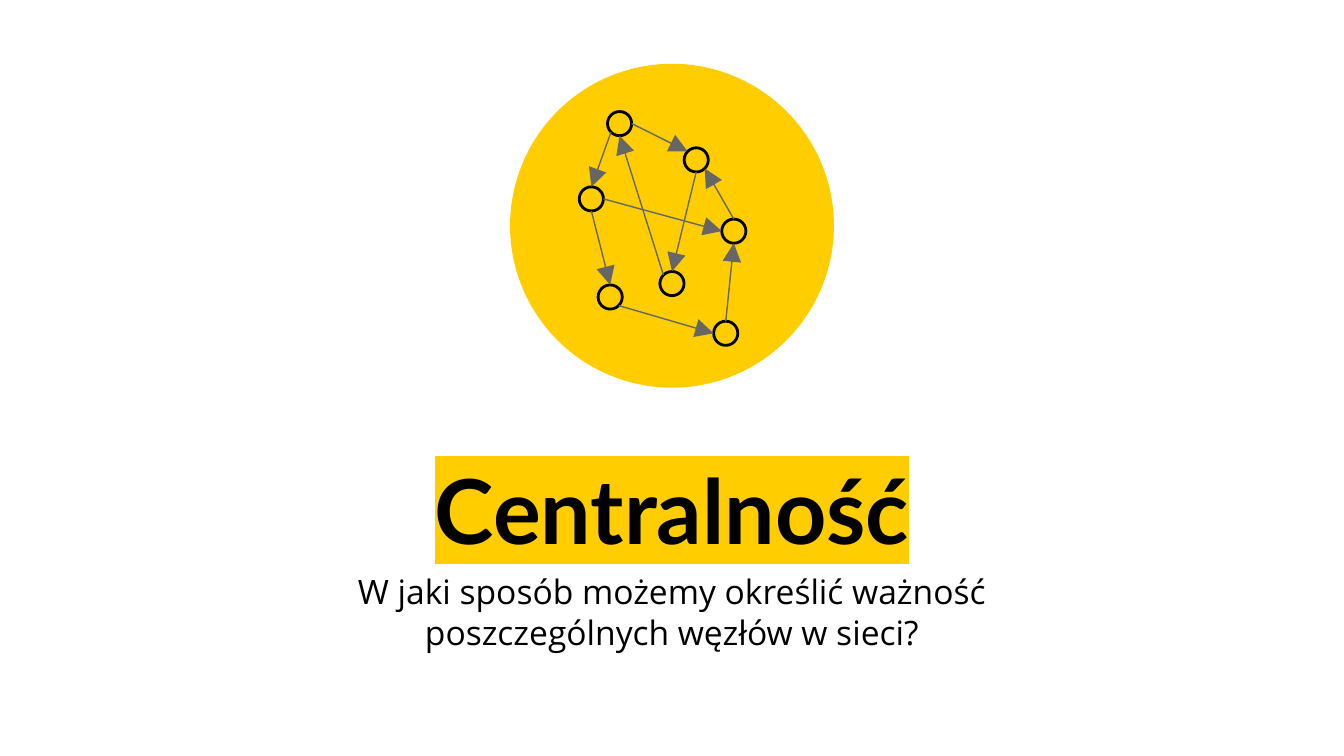
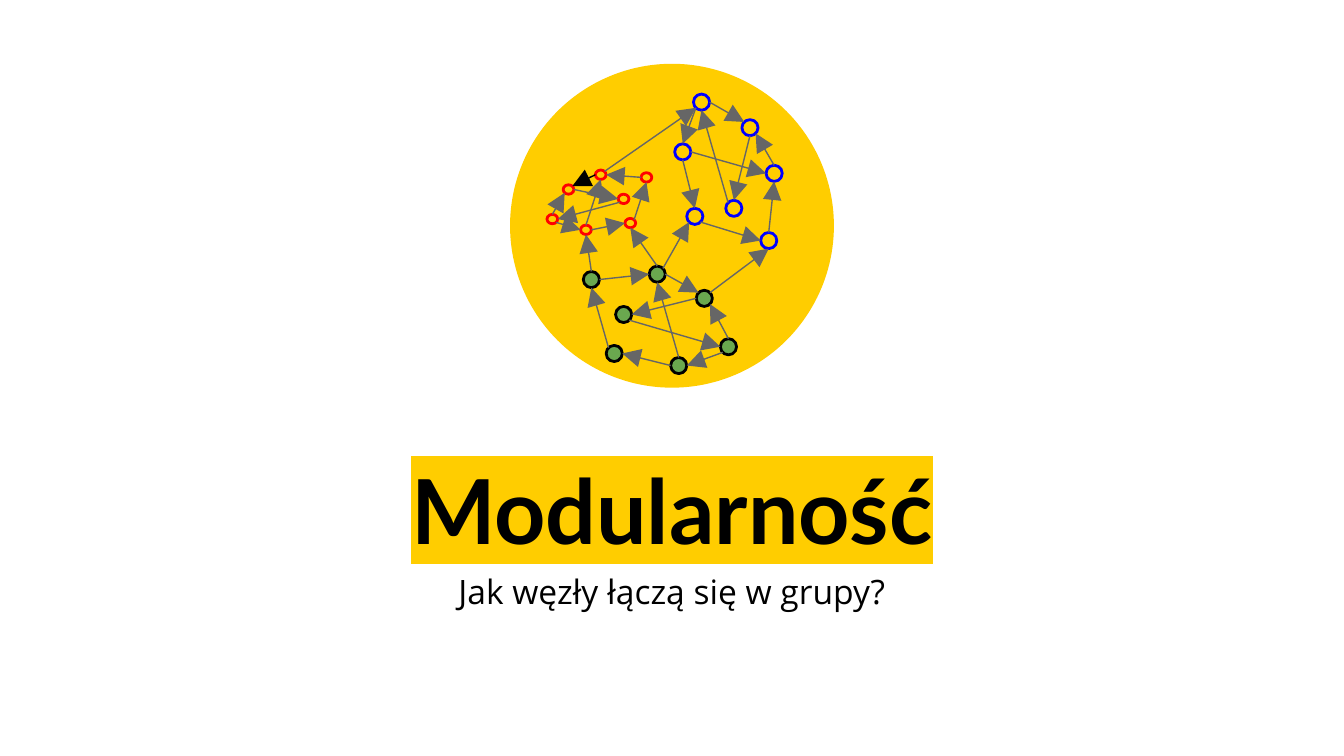
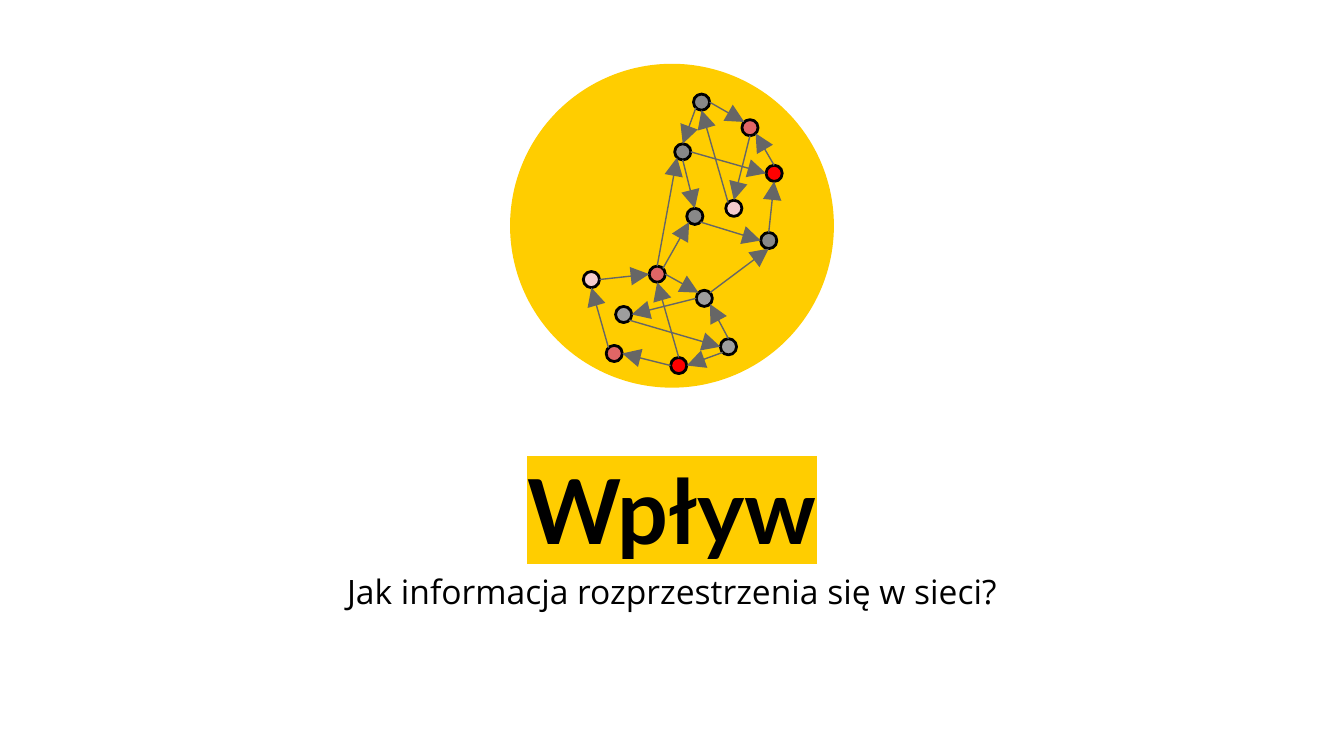
from dataclasses import dataclass
from math import cos, radians, sin

from lxml.etree import SubElement
from pptx import Presentation
from pptx.dml.color import RGBColor
from pptx.enum.shapes import MSO_CONNECTOR, MSO_SHAPE
from pptx.enum.text import MSO_ANCHOR, MSO_AUTO_SIZE, PP_ALIGN
from pptx.oxml import parse_xml
from pptx.oxml.ns import nsdecls, qn
from pptx.util import Inches, Pt


@dataclass(frozen=True)
class Theme:
    yellow: str = "FFCD00"
    black: str = "000000"
    arrow: str = "666666"
    blue: str = "0000FF"
    red: str = "FF0000"
    green: str = "6AA84F"
    rose: str = "E06666"
    pale: str = "F4CCCC"
    dark_gray: str = "888888"
    gray: str = "9E9E9E"
    title_font: str = "Lato"
    body_font: str = "Open Sans"
    title_size: int = 48
    body_size: int = 18
    node_line: float = 1.5
    arrow_line: float = 0.75


THEME = Theme()

# Compass points on a node, in degrees clockwise from the right
COMPASS = {point: 45 * step for step, point in
           enumerate(("E", "SE", "S", "SW", "W", "NW", "N", "NE"))}


@dataclass(frozen=True)
class Group:
    """Node centres by name, arrows between them, and the node shape."""
    centres: dict
    arrows: str
    width: float
    height: float
    rotation: int = 0


# Each arrow reads "node.side>node.side"
RING_ARROWS = ("top.SW>left.N left.S>low.N left.E>right.W top.E>upper.NW upper.S>inner.N "
               "low.SE>bottom.W bottom.N>right.S right.N>upper.SE inner.NW>top.S")

LARGE_RING = Group(
    {"left": (4.4, 1.48), "top": (4.61, 0.92), "low": (4.54, 2.21), "upper": (5.18, 1.19),
     "right": (5.46, 1.72), "inner": (5.0, 2.11), "bottom": (5.4, 2.48)},
    RING_ARROWS, 0.18, 0.18)

SMALL_RING = Group(
    {"left": (5.08, 1.13), "top": (5.22, 0.76), "low": (5.17, 1.61), "upper": (5.58, 0.95),
     "right": (5.76, 1.29), "inner": (5.46, 1.55), "bottom": (5.72, 1.79)},
    RING_ARROWS, 0.12, 0.12)

LOWER_GROUP = Group(
    {"base": (5.05, 2.72), "east": (5.42, 2.58), "southwest": (4.57, 2.63),
     "gate": (5.24, 2.22), "hub": (4.89, 2.04), "core": (4.64, 2.34), "west": (4.4, 2.08)},
    "east.SW>base.E base.W>southwest.E base.N>hub.S east.N>gate.SE gate.W>core.E "
    "southwest.NW>west.S west.E>hub.W hub.E>gate.NW core.SE>east.W",
    0.12, 0.12, 90)

SIDE_GROUP = Group(
    {"foot": (4.36, 1.71), "edge": (4.11, 1.63), "heel": (4.69, 1.66), "brow": (4.23, 1.41),
     "peak": (4.47, 1.3), "middle": (4.64, 1.48), "tip": (4.81, 1.32)},
    "edge.SE>foot.W foot.E>heel.W foot.N>peak.S edge.N>brow.SW brow.E>middle.W "
    "heel.NE>tip.S tip.W>peak.E middle.SW>edge.E",
    0.07, 0.08, 270)


def color(value):
    return RGBColor.from_string(value)


def format_placeholder(placeholder, text, box, font_name, size, bold=False):
    placeholder.left, placeholder.top, placeholder.width, placeholder.height = map(Inches, box)
    frame = placeholder.text_frame
    frame.text = text
    frame.word_wrap = True
    frame.auto_size = MSO_AUTO_SIZE.NONE
    frame.margin_left = frame.margin_right = Inches(0.1)
    frame.margin_top = frame.margin_bottom = Inches(0.1)
    paragraph = frame.paragraphs[0]
    paragraph.alignment = PP_ALIGN.CENTER
    paragraph.space_before = Pt(0)
    run = paragraph.runs[0]
    run.font.name = font_name
    run.font.size = Pt(size)
    run.font.bold = bold
    run.font.color.rgb = color(THEME.black)
    return run


def highlight(run, value):
    mark = parse_xml(f'<a:highlight {nsdecls("a")}><a:srgbClr val="{value}"/></a:highlight>')
    run.font._element.find(qn("a:solidFill")).addnext(mark)


def add_circle(slide, centre, width, height, fill=None, line=None, rotation=0):
    shape = slide.shapes.add_shape(
        MSO_SHAPE.OVAL, Inches(centre[0] - width / 2), Inches(centre[1] - height / 2),
        Inches(width), Inches(height))
    shape.shadow.inherit = False
    shape.rotation = rotation
    if fill:
        shape.fill.solid()
        shape.fill.fore_color.rgb = color(fill)
    else:
        shape.fill.background()
    if line:
        shape.line.color.rgb = color(line)
        shape.line.width = Pt(THEME.node_line)
    else:
        shape.line.fill.background()


def anchor(groups, name):
    """Point on the rim of a node, given as "node.side"."""
    node, side = name.split(".")
    group = next(group for group in groups if node in group.centres)
    width, height = group.width, group.height
    if group.rotation:
        width, height = height, width
    angle = radians(COMPASS[side])
    x, y = group.centres[node]
    return Inches(x + width / 2 * cos(angle)), Inches(y + height / 2 * sin(angle))


def add_arrows(slide, groups, arrows, line=THEME.arrow):
    for arrow in arrows.split():
        start, end = (anchor(groups, name) for name in arrow.split(">"))
        connector = slide.shapes.add_connector(MSO_CONNECTOR.STRAIGHT, *start, *end)
        connector.line.color.rgb = color(line)
        connector.line.width = Pt(THEME.arrow_line)
        SubElement(connector.line._get_or_add_ln(), qn("a:tailEnd"),
                   type="triangle", w="lg", len="lg")
        SubElement(connector._element.spPr, qn("a:effectLst"))


def add_group(slide, group, fills=(None,) * 7, line=THEME.black):
    for centre, fill in zip(group.centres.values(), fills):
        add_circle(slide, centre, group.width, group.height, fill, line, group.rotation)
    add_arrows(slide, [group], group.arrows)


def add_topic_slide(presentation, title, question):
    """Title, question and the yellow disc that every slide shares."""
    slide = presentation.slides.add_slide(presentation.slide_layouts[0])
    run = format_placeholder(slide.shapes.title, title, (2.13, 3.15, 5.74, 1.27),
                             THEME.title_font, THEME.title_size, bold=True)
    highlight(run, THEME.yellow)
    slide.shapes.title.text_frame.vertical_anchor = MSO_ANCHOR.MIDDLE
    subtitle = slide.placeholders[1]
    format_placeholder(subtitle, question, (2.13, 4.15, 5.74, 0.86),
                       THEME.body_font, THEME.body_size)
    subtitle.text_frame.vertical_anchor = MSO_ANCHOR.TOP
    add_circle(slide, (5, 1.68), 2.41, 2.41, fill=THEME.yellow)
    return slide


def main():
    presentation = Presentation()
    presentation.slide_width = Inches(10)
    presentation.slide_height = Inches(10 * 9 / 16)

    # Centrality: one large ring
    slide = add_topic_slide(presentation, "Centralność",
                            "W jaki sposób możemy określić ważność poszczególnych węzłów w sieci?")
    add_group(slide, LARGE_RING)

    # Modularity: three groups told apart by colour
    slide = add_topic_slide(presentation, "Modularność", "Jak węzły łączą się w grupy?")
    groups = [SMALL_RING, LOWER_GROUP, SIDE_GROUP]
    add_group(slide, SMALL_RING, line=THEME.blue)
    add_group(slide, LOWER_GROUP, [THEME.green] * 7)
    add_group(slide, SIDE_GROUP, line=THEME.red)
    add_arrows(slide, groups, "peak.W>brow.NE", THEME.black)
    shared_links = "hub.NE>low.SW gate.NE>bottom.S"
    add_arrows(slide, groups, f"hub.N>heel.S west.N>foot.S {shared_links} peak.NE>top.SW")

    # Influence: two groups shaded by how far information has spread
    slide = add_topic_slide(presentation, "Wpływ", "Jak informacja rozprzestrzenia się w sieci?")
    add_group(slide, SMALL_RING, [THEME.dark_gray] * 3
              + [THEME.rose, THEME.red, THEME.pale, THEME.dark_gray])
    add_group(slide, LOWER_GROUP, [THEME.red, THEME.gray, THEME.rose, THEME.gray,
                                   THEME.rose, THEME.gray, THEME.pale])
    add_arrows(slide, groups, f"hub.N>left.SW {shared_links}")

    presentation.save("out.pptx")


if __name__ == "__main__":
    main()
